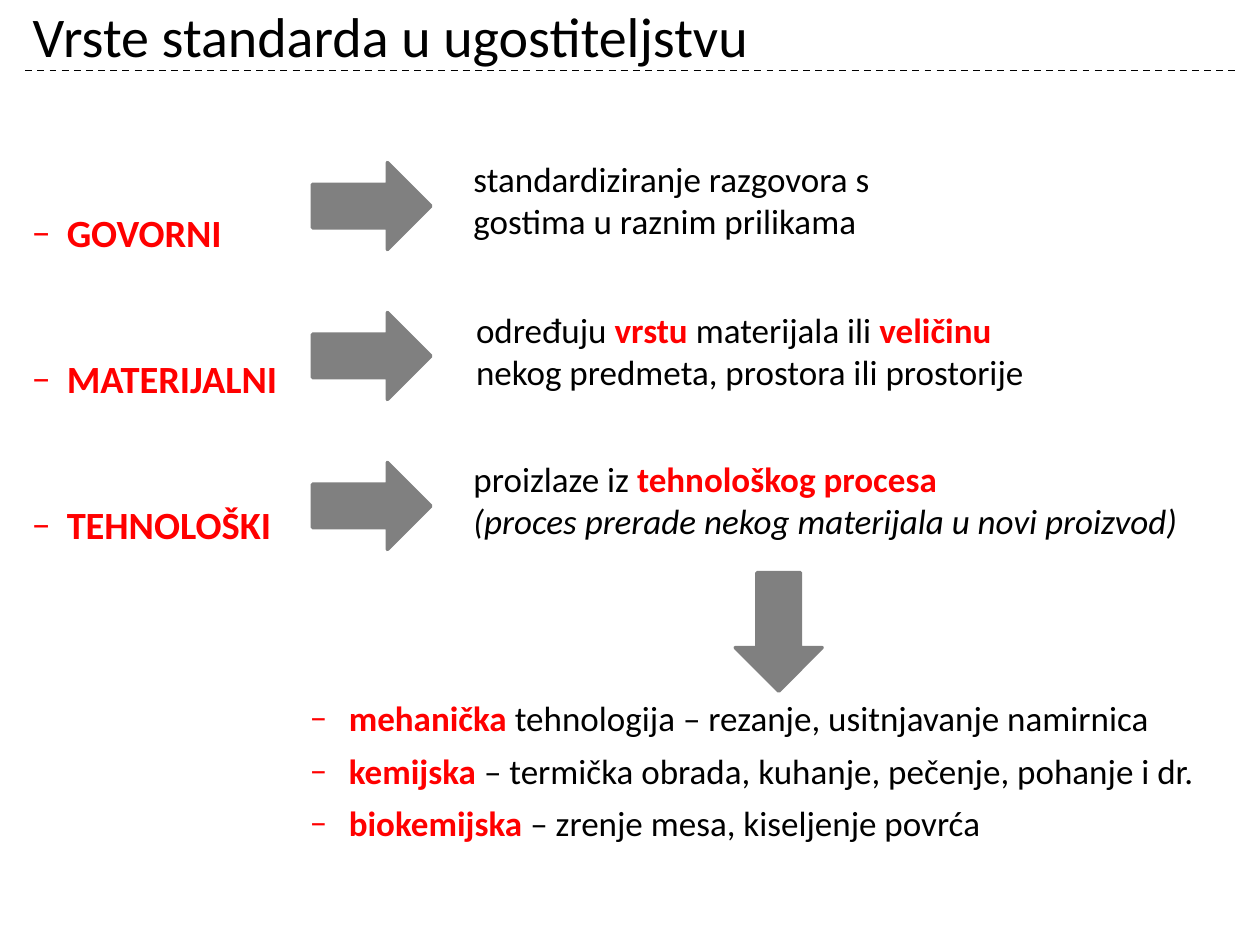
"""Builds a slide on the kinds of standards in hospitality."""
from lxml import etree
from pptx import Presentation
from pptx import util as u
from pptx.dml.color import RGBColor
from pptx.enum import dml, shapes, text
from pptx.oxml.ns import qn

BLACK, RED, GRAY = "000000", "FF0000", "808080"
FONT = "Calibri"
TITLE = "Vrste standarda u ugostiteljstvu"
KINDS = ["GOVORNI", "MATERIJALNI", "TEHNOLOŠKI"]
# Each run is (text, style), where style is "", "key" or "italic".
DESCRIPTIONS = [
    ((3.66, 1.2, 3.7, 0.77),
     [("standardiziranje razgovora s gostima u raznim prilikama", "")]),
    ((3.68, 2.4, 5, 0.77),
     [("određuju ", ""), ("vrstu ", "key"), ("materijala ili ", ""),
      ("veličinu ", "key"), ("nekog predmeta, prostora ili prostorije", "")]),
    ((3.66, 3.58, 6.34, 0.77),
     [("proizlaze iz ", ""), ("tehnološkog procesa ", "key"), ("\n", ""),
      ("(proces prerade nekog materijala u novi proizvod)", "italic")]),
]
TECHNOLOGIES = [
    ("mehanička ", "tehnologija – rezanje, usitnjavanje namirnica"),
    ("kemijska ", "– termička obrada, kuhanje, pečenje, pohanje i dr."),
    ("biokemijska ", "– zrenje mesa, kiseljenje povrća"),
]
ARROW_LEFT, ARROW_TOP, ARROW_PITCH = 2.48, 1.29, 1.19
ARROW_SIZE = (0.94, 0.69)


def color(value):
    return RGBColor.from_string(value)


def inches(values):
    return [u.Inches(value) for value in values]


def place(shape, box):
    shape.left, shape.top, shape.width, shape.height = inches(box)


def add_runs(paragraph, runs, size=20):
    for words, style in runs:
        if words == "\n":
            paragraph.add_line_break()
            continue
        run = paragraph.add_run()
        run.text = words
        run.font.name, run.font.size = FONT, u.Pt(size)
        run.font.bold, run.font.italic = style == "key", style == "italic"
        run.font.color.rgb = color(RED if style == "key" else BLACK)


def add_list(frame, items, bullet, margin, indent, gap, size):
    for index, runs in enumerate(items):
        paragraph = frame.paragraphs[0] if index == 0 else frame.add_paragraph()
        paragraph.level = 1
        paragraph.space_before = u.Pt(gap if index else 0)
        properties = paragraph._p.get_or_add_pPr()
        properties.set("marL", str(u.Inches(margin)))
        properties.set("indent", str(u.Inches(indent)))
        etree.SubElement(properties, qn("a:buFont")).set("typeface", FONT)
        etree.SubElement(properties, qn("a:buChar")).set("char", bullet)
        add_runs(paragraph, runs, size)


def add_text_box(slide, box):
    frame = slide.shapes.add_textbox(*inches(box)).text_frame
    frame.word_wrap = True
    return frame


def add_arrow(slide, left, top, rotation=0):
    arrow = slide.shapes.add_shape(
        shapes.MSO_SHAPE.RIGHT_ARROW, *inches((left, top, *ARROW_SIZE)))
    arrow.rotation = rotation
    arrow.shadow.inherit = False
    arrow.fill.solid()
    arrow.fill.fore_color.rgb = color(GRAY)
    arrow.line.color.rgb = color(GRAY)
    arrow.line.width = u.Pt(2)


def add_rule(slide):
    rule = slide.shapes.add_connector(
        shapes.MSO_CONNECTOR.STRAIGHT, *inches((0.2, 0.56, 9.8, 0.56)))
    rule.line.color.rgb = color(BLACK)
    rule.line.width = u.Pt(1)
    rule.line.dash_style = dml.MSO_LINE.DASH
    etree.SubElement(rule._element.spPr, qn("a:effectLst"))


def main():
    presentation = Presentation()
    presentation.slide_width, presentation.slide_height = inches((10, 7.5))
    slide = presentation.slides.add_slide(presentation.slide_layouts[1])
    add_rule(slide)

    title, body = slide.placeholders
    place(title, (0.16, -0.07, 10.04, 0.7))
    title.text_frame.auto_size = text.MSO_AUTO_SIZE.NONE
    title.text_frame.vertical_anchor = text.MSO_ANCHOR.MIDDLE
    heading = title.text_frame.paragraphs[0]
    heading.alignment = text.PP_ALIGN.LEFT
    add_runs(heading, [(TITLE, "")], 32)

    place(body, (-0.28, 0.44, 10, 3.91))
    body.text_frame.auto_size = text.MSO_AUTO_SIZE.NONE
    body.text_frame.margin_top = u.Inches(1.22)
    add_list(body.text_frame, [[(kind, "key")] for kind in KINDS],
             "–", 0.71, -0.28, 57, 22)

    for row, (box, runs) in enumerate(DESCRIPTIONS):
        add_runs(add_text_box(slide, box).paragraphs[0], runs)
        add_arrow(slide, ARROW_LEFT, ARROW_TOP + row * ARROW_PITCH)

    add_list(add_text_box(slide, (1.92, 5.48, 7.76, 1.28)),
             [[(name, "key"), (detail, "")] for name, detail in TECHNOLOGIES],
             "‒", 0.75, -0.31, 6, 20)
    add_arrow(slide, 5.71, 4.67, 90)
    presentation.save("out.pptx")


if __name__ == "__main__":
    main()
